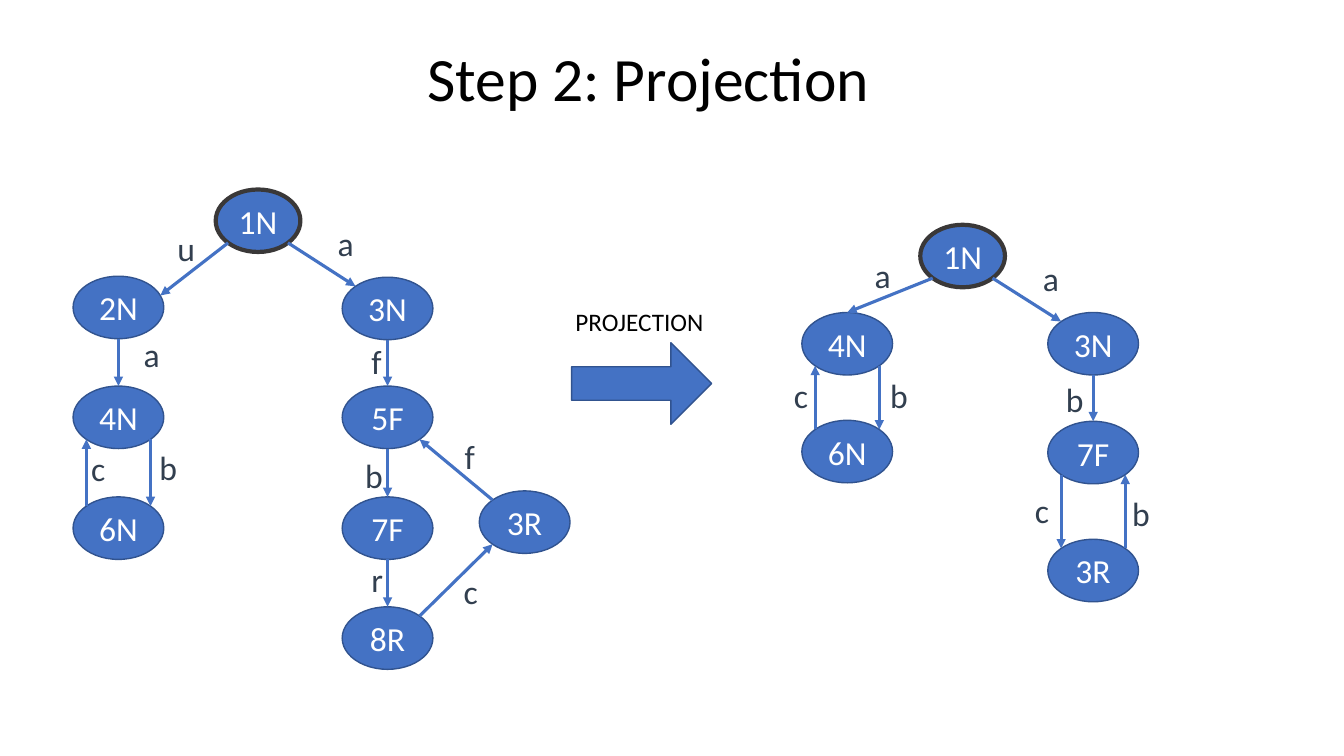
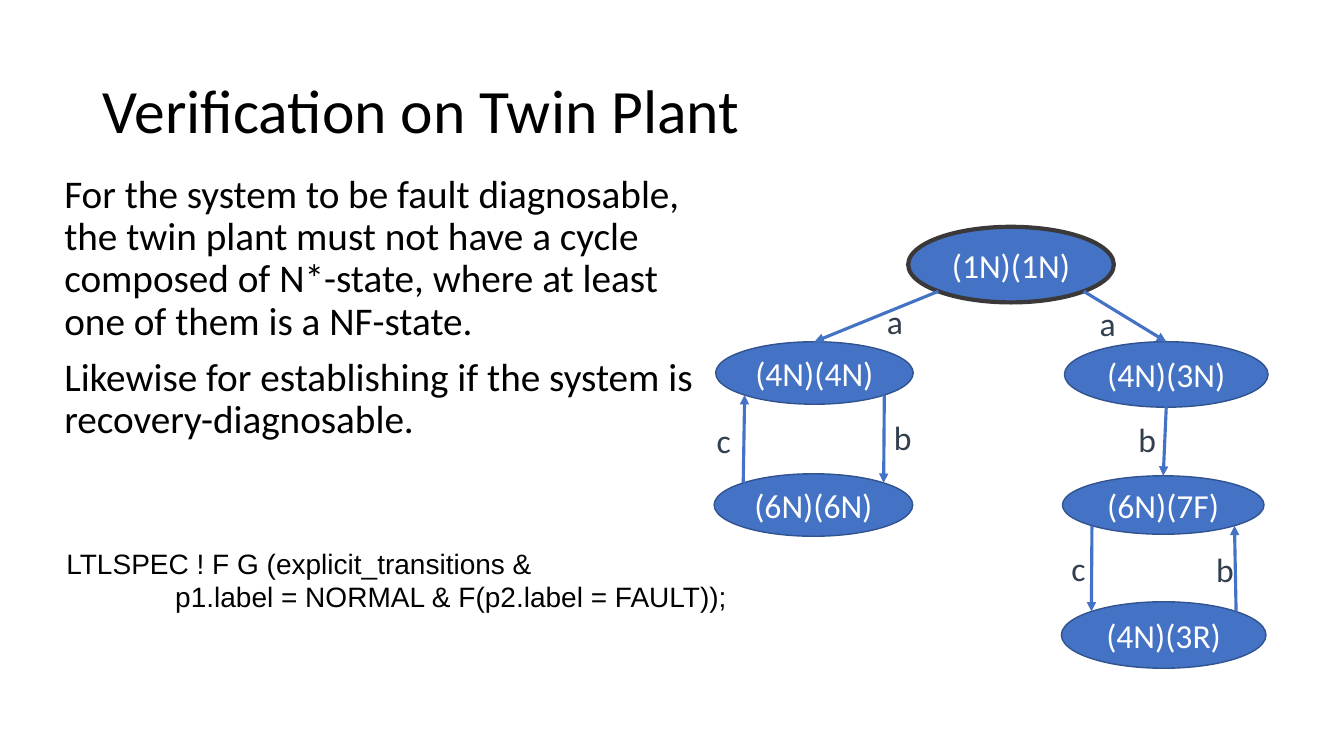
import math

import pptx
import pptx.dml.color
import pptx.enum.shapes
import pptx.enum.text
import pptx.oxml
import pptx.oxml.ns
import pptx.util

COLORS = {
    "node": "4472C4",
    "outline": "31538F",
    "root": "3A3838",
    "label": "323F4F",
    "text": "000000",
    "node_text": "FFFFFF",
}
FONT = "Calibri"
CELLS_PER_INCH = 10
E, SE, S, SW, W, NW, N, NE = range(0, 360, 45)
ENE = 337.5
SHAPES = pptx.enum.shapes.MSO_SHAPE
ANCHOR = pptx.enum.text.MSO_ANCHOR
ALIGN = pptx.enum.text.PP_ALIGN


def cells(*values):
    """Turn grid cells into lengths."""
    return [pptx.util.Inches(v / CELLS_PER_INCH) for v in values]


def rgb(name):
    """Look up a named colour."""
    return pptx.dml.color.RGBColor.from_string(COLORS[name])


def write(sp, text, size=24, color="text", font=FONT, align=ALIGN.LEFT,
          anchor=ANCHOR.TOP, wrap=True, spacing=None, before=None, indents=()):
    """Write text into a shape, one paragraph a line."""
    tf = sp.text_frame
    tf.word_wrap = wrap
    tf.vertical_anchor = anchor
    for i, line in enumerate(text.split("\n")):
        p = tf.paragraphs[0] if i == 0 else tf.add_paragraph()
        p.alignment = align
        p.line_spacing = spacing
        if before is not None:
            p.space_before = pptx.util.Pt(before)
        if i < len(indents):
            p._p.get_or_add_pPr().set("marL", str(cells(indents[i])[0]))
        r = p.add_run()
        r.text = line
        r.font.name = font
        r.font.size = pptx.util.Pt(size)
        r.font.color.rgb = rgb(color)


def text_box(shapes, box, text, **style):
    """Add a text box at a box given in cells."""
    write(shapes.add_textbox(*cells(*box)), text, **style)


def title(s, box, text):
    """Add the slide title."""
    text_box(s.shapes, box, text, size=44, anchor=ANCHOR.MIDDLE, spacing=0.9)


def solid(shapes, kind, box, line="outline", weight=1):
    """Add a filled preset shape."""
    sp = shapes.add_shape(kind, *cells(*box))
    sp.shadow.inherit = False
    sp.fill.solid()
    sp.fill.fore_color.rgb = rgb("node")
    sp.line.color.rgb = rgb(line)
    sp.line.width = pptx.util.Pt(weight)
    return sp


def arrow(shapes, start, end):
    """Add a straight arrow between two points."""
    c = shapes.add_connector(pptx.enum.shapes.MSO_CONNECTOR.STRAIGHT,
                             *cells(*start, *end))
    c.line.color.rgb = rgb("node")
    c.line.width = pptx.util.Pt(2.25)
    ln = c.line._get_or_add_ln()
    head = pptx.oxml.parse_xml(
        f'<a:tailEnd {pptx.oxml.ns.nsdecls("a")} type="triangle"/>')
    ln.append(head)
    ln.addnext(pptx.oxml.parse_xml(
        f'<a:effectLst {pptx.oxml.ns.nsdecls("a")}/>'))


def port(node, angle):
    """Find the point of an ellipse at a clockwise angle from its right."""
    x, y, w, h = node
    a = math.radians(angle)
    return x + w / 2 * math.cos(a), y + h / 2 * math.sin(a)


def graph(s, origin, nodes, edges, size=(9, 6.2)):
    """Draw a state graph whose first node is the root."""
    shapes = s.shapes.add_group_shape().shapes
    left, top = origin
    placed = {}
    for i, (name, (x, y, *own_size)) in enumerate(nodes.items()):
        w, h = own_size or size
        placed[name] = (left + x, top + y, w, h)
        outline = {"line": "root", "weight": 3} if i == 0 else {}
        sp = solid(shapes, SHAPES.OVAL,
                   (left + x - w / 2, top + y - h / 2, w, h), **outline)
        sp.text_frame.margin_left = sp.text_frame.margin_right = 0
        write(sp, name, color="node_text", align=ALIGN.CENTER,
              anchor=ANCHOR.MIDDLE, wrap=False)
    for source, out, target, into, label, dx, dy in edges:
        start, end = port(placed[source], out), port(placed[target], into)
        arrow(shapes, start, end)
        mid_x, mid_y = ((a + b) / 2 for a, b in zip(start, end))
        text_box(shapes, (mid_x + dx, mid_y + dy, 3.9, 5), label, color="label")


def projection_arrow(s, box):
    """Draw the captioned block arrow."""
    x, y, w, h = box
    sp = solid(s.shapes, SHAPES.RIGHT_ARROW, box)
    sp.adjustments[0], sp.adjustments[1] = 0.41, 0.5
    text_box(s.shapes, (x - 0.6, y - 4.1, w + 0.9, 4), "PROJECTION",
             size=18, wrap=False)


def projection_slide(s):
    """Build the slide that projects one graph onto another."""
    title(s, (41.4, 0.8, 54.6, 14.5), "Step 2: Projection")
    projection_arrow(s, (56.7, 34, 13.9, 8.1))
    graph(s, (7.3, 18.8), {
        "1N": (18.3, 3.1, 8.4, 6.2),
        "2N": (4.45, 11.7),
        "4N": (4.45, 22.6),
        "6N": (4.45, 33.6),
        "3N": (31.15, 11.8),
        "5F": (31.15, 22.6),
        "7F": (31.15, 33.6),
        "8R": (31.15, 44.5),
        "3R": (44.75, 33),
    }, [
        ("1N", SW, "2N", ENE, "u", -2.65, -4.6),
        ("2N", S, "4N", N, "a", 1.5, -3.3),
        ("4N", SE, "6N", NE, "b", -0.1, -3.1),
        ("6N", NW, "4N", SW, "c", -0.5, -3),
        ("1N", SE, "3N", NW, "a", 0.6, -4.65),
        ("3N", S, "5F", N, "f", -2.6, -2.7),
        ("5F", S, "7F", N, "b", -3.2, -2.3),
        ("7F", S, "8R", N, "r", -2.6, -2.9),
        ("8R", NE, "3R", SW, "c", -0.25, -1.45),
        ("3R", NW, "5F", SE, "f", -0.15, -3.8),
    ])
    graph(s, (79.6, 22.3), {
        "1N": (15.9, 3.1, 8.4, 6.2),
        "4N": (4.45, 11.8),
        "6N": (4.45, 22.5),
        "3N": (28.85, 11.8),
        "7F": (28.85, 22.6),
        "3R": (28.85, 34.3),
    }, [
        ("1N", SW, "4N", N, "a", -2.5, -4.5),
        ("4N", SE, "6N", NE, "b", 0.1, -2.7),
        ("6N", NW, "4N", SW, "c", -3.1, -2.7),
        ("1N", SE, "3N", NW, "a", 0.6, -4.65),
        ("3N", S, "7F", N, "b", -3.7, -2.4),
        ("7F", SW, "3R", NW, "c", -3.6, -2.6),
        ("3R", NE, "7F", SE, "b", -0.3, -2.3),
    ])


def verification_slide(s):
    """Build the slide that checks the twin plant."""
    title(s, (9.2, 4, 115, 14.5), "Verification on Twin Plant")
    graph(s, (70.8, 22.5), {
        "(1N)(1N)": (29.5, 3.75, 20.4, 7.5),
        "(4N)(4N)": (10, 14.5, 19.6, 6.2),
        "(6N)(6N)": (9.9, 27.6, 19.7, 6.2),
        "(4N)(3N)": (44.9, 14.65, 20.2, 6.5),
        "(6N)(7F)": (44.6, 27.6, 20, 5.8),
        "(4N)(3R)": (44.65, 40.5, 20.3, 6.6),
    }, [
        ("(1N)(1N)", SW, "(4N)(4N)", N, "a", 0.05, -2.05),
        ("(4N)(4N)", SE, "(6N)(6N)", NE, "b", 0, -2.7),
        ("(6N)(6N)", NW, "(4N)(4N)", SW, "c", -3.7, -2.4),
        ("(1N)(1N)", SE, "(4N)(3N)", N, "a", -3.5, -1.85),
        ("(4N)(3N)", S, "(6N)(7F)", N, "b", -3.6, -2.7),
        ("(6N)(7F)", SW, "(4N)(3R)", NW, "c", -3, -2.5),
        ("(4N)(3R)", NE, "(6N)(7F)", SE, "b", -2.9, -2.4),
    ])
    text_box(s.shapes, (5.4, 16.8, 64.7, 32.1),
             "For the system to be fault diagnosable, the twin plant must not "
             "have a cycle composed of N*-state, where at least one of them is "
             "a NF-state.\nLikewise for establishing if the system is "
             "recovery-diagnosable.", size=28, spacing=0.9, before=10)
    text_box(s.shapes, (5.6, 53.7, 68.5, 11.1),
             "LTLSPEC ! F G (explicit_transitions &\n"
             "p1.label = NORMAL & F(p2.label = FAULT));",
             size=20, font="Arial", wrap=False, indents=(0, 10.8))


def main():
    """Build and save the presentation."""
    prs = pptx.Presentation()
    prs.slide_width, prs.slide_height = cells(133.33, 75)
    for build in (projection_slide, verification_slide):
        build(prs.slides.add_slide(prs.slide_layouts[6]))
    prs.save("out.pptx")


if __name__ == "__main__":
    main()
